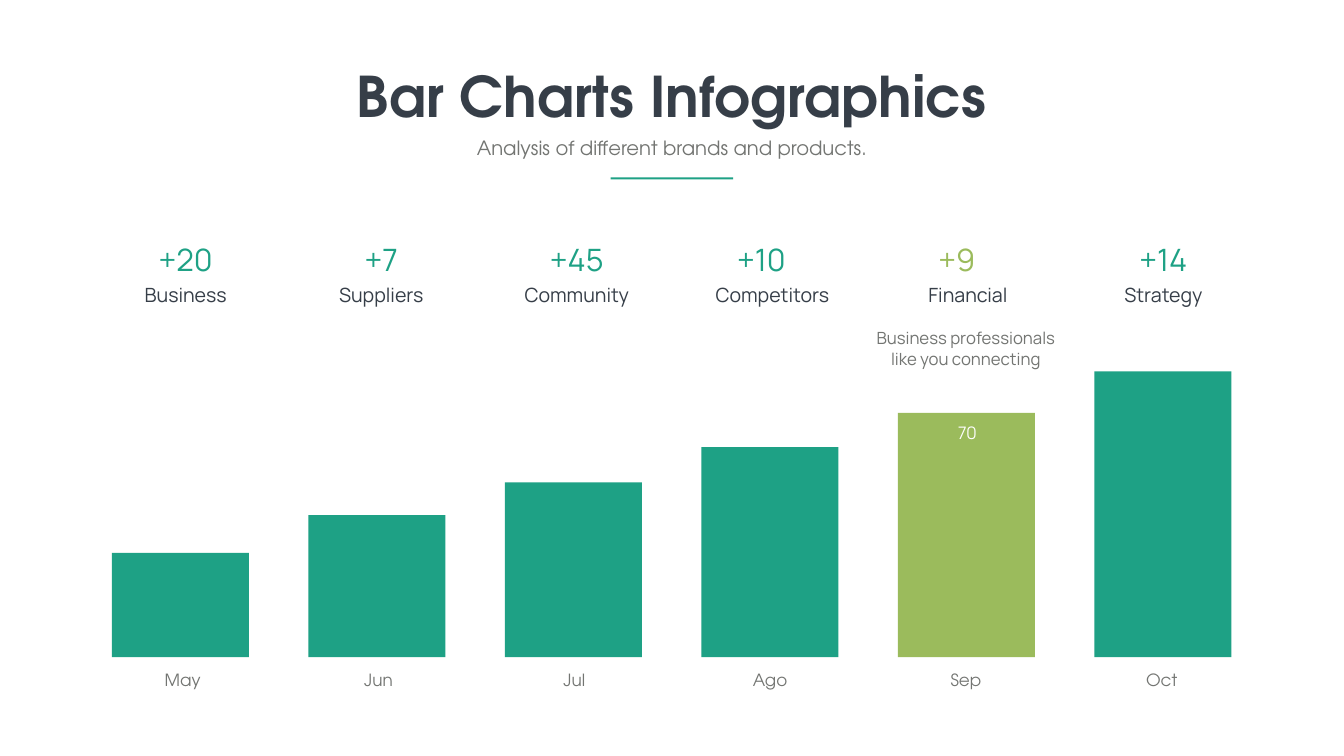
from pptx import Presentation
from pptx.dml.color import RGBColor
from pptx.enum import shapes, text
from pptx.util import Inches, Pt

GREEN = RGBColor(0x1E, 0xA1, 0x85)
LIME = RGBColor(0x9B, 0xBB, 0x5C)
DARK = RGBColor(0x36, 0x3E, 0x48)
GRAY = RGBColor(0x73, 0x75, 0x72)
WHITE = RGBColor(0xFF, 0xFF, 0xFF)

SANS = "Manrope"
GEOMETRIC = "TeX Gyre Adventor"

STYLES = {
    "title": {"name": GEOMETRIC, "size": Pt(80), "bold": True},
    "subtitle": {"name": GEOMETRIC, "size": Pt(28)},
    "number": {"name": SANS, "size": Pt(44)},
    "label": {"name": SANS, "size": Pt(28)},
    "note": {"name": SANS, "size": Pt(24)},
    "month": {"name": GEOMETRIC, "size": Pt(24)},
}

BASELINE = 86.93
LEFT = 8.32
BAR_PITCH, LABEL_PITCH, MONTH_PITCH = 14.62, 14.55, 14.57

BARS = [
    ("May", "+20", "Business", 13.8, GREEN, 0),
    ("Jun", "+7", "Suppliers", 18.8, GREEN, 0),
    ("Jul", "+45", "Community", 23.13, GREEN, 0),
    ("Ago", "+10", "Competitors", 27.8, GREEN, -0.82),
    ("Sep", "+9", "Financial", 32.33, LIME, -0.82),
    ("Oct", "+14", "Strategy", 37.8, GREEN, 0),
]


class Deck:
    def __init__(self, width, height, cols=100, rows=100):
        self.prs = Presentation()
        self.prs.slide_width, self.prs.slide_height = width, height
        self.col, self.row = width / cols, height / rows
        self.s = self.prs.slides.add_slide(self.prs.slide_layouts[6])

    def box(self, x, y, w, h):
        return (round(x * self.col), round(y * self.row),
                round(w * self.col), round(h * self.row))

    def rect(self, x, y, w, h, color):
        sp = self.s.shapes.add_shape(shapes.MSO_SHAPE.RECTANGLE, *self.box(x, y, w, h))
        sp.shadow.inherit = False
        sp.fill.solid()
        sp.fill.fore_color.rgb = color
        sp.line.fill.background()

    def text(self, x, y, w, h, words, style, color, wrap=True):
        tf = self.s.shapes.add_textbox(*self.box(x, y, w, h)).text_frame
        tf.word_wrap = wrap
        tf.auto_size = text.MSO_AUTO_SIZE.SHAPE_TO_FIT_TEXT
        p = tf.paragraphs[0]
        p.alignment = text.PP_ALIGN.CENTER
        r = p.add_run()
        r.text = words
        for key, value in STYLES[style].items():
            setattr(r.font, key, value)
        r.font.color.rgb = color


def main():
    d = Deck(Inches(26.67), Inches(15))
    d.text(25.95, 7.8, 48.07, 9.67, "Bar Charts Infographics", "title", DARK, wrap=False)
    d.text(32.06, 17.67, 35.85, 3.8, "Analysis of different brands and products.",
           "subtitle", GRAY)
    d.rect(45.44, 23.47, 9.11, 0.27, GREEN)

    for i, (month, number, label, height, color, shift) in enumerate(BARS):
        label_x = LEFT + i * LABEL_PITCH
        d.rect(LEFT + i * BAR_PITCH, BASELINE - height, 10.2, height, color)
        d.text(label_x + 0.79 + shift, 31.47, 9.41, 5.6, number, "number", color)
        d.text(label_x, 37.07, 10.99, 3.8, label, "label", DARK)
        d.text(11.62 + i * MONTH_PITCH, 88.27, 3.94, 3.33, month, "month", GRAY)

    d.text(64.23, 43.07, 15.26, 6.07, "Business professionals like you connecting",
           "note", GRAY)
    d.text(69.97, 55.6, 3.94, 3.33, "70", "month", WHITE)
    d.prs.save("out.pptx")


if __name__ == "__main__":
    main()
